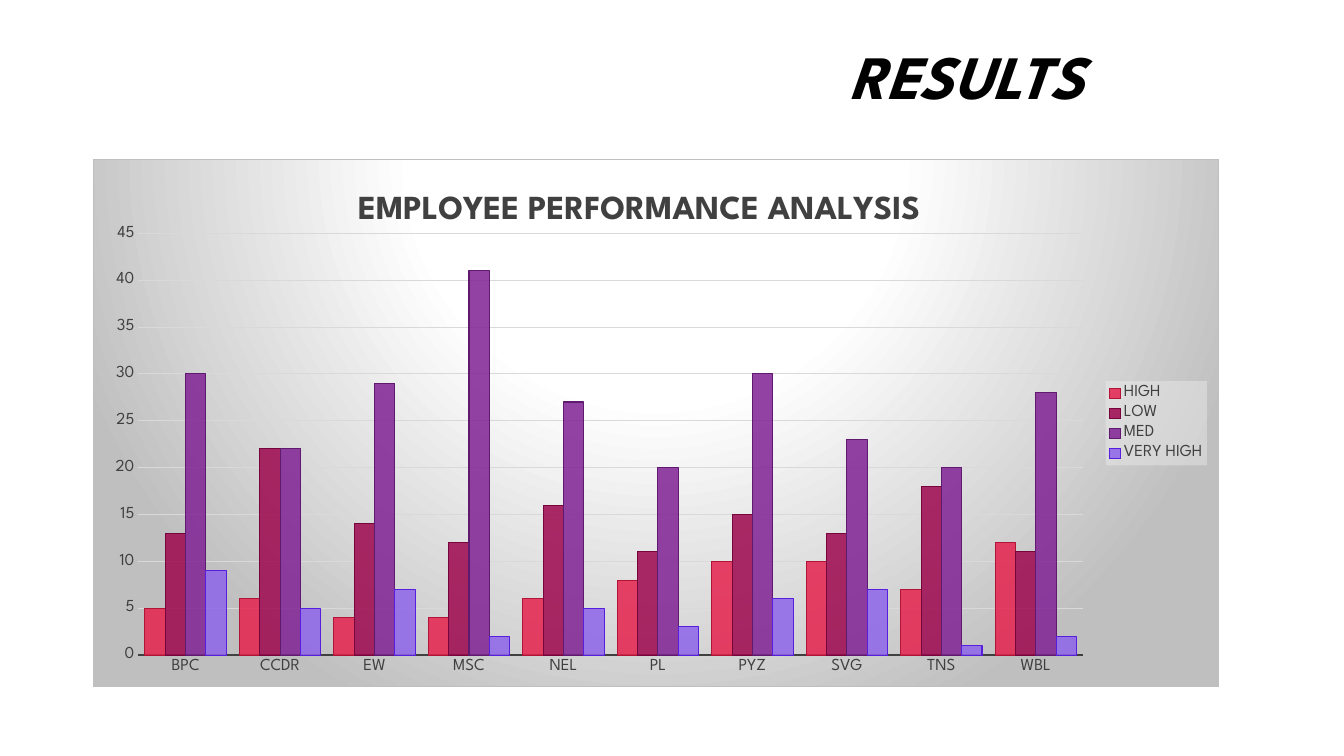
import pptx
import pptx.util
import pptx.chart.data
import pptx.dml.color
import pptx.enum.chart
import pptx.enum.text
import pptx.oxml
import pptx.oxml.ns

Cm, Pt = pptx.util.Cm, pptx.util.Pt
qn = pptx.oxml.ns.qn
FONT = "League Spartan"
GREY = "404040"
HEAD = "RESULTS"
NAME = "EMPLOYEE PERFORMANCE ANALYSIS"
UNITS = ["BPC", "CCDR", "EW", "MSC", "NEL", "PL", "PYZ", "SVG", "TNS", "WBL"]
LEVELS = [
    ("HIGH", [5, 6, 4, 4, 6, 8, 10, 10, 7, 12], "E5224E", "B01538"),
    ("LOW", [13, 22, 14, 12, 16, 11, 15, 13, 18, 11], "9D074E", "76053B"),
    ("MED", [30, 22, 29, 41, 27, 20, 30, 23, 20, 28], "7F2294", "5F196F"),
    ("VERY HIGH", [9, 5, 7, 2, 5, 3, 6, 7, 1, 2], "8D65EA", "581EDD"),
]
STOPS = [(0, "FFFFFF"), (39, "FFFFFF"), (100, "BFBFBF")]
SPACE = pptx.oxml.ns.nsdecls("c", "a")


def tint(color, code):
    color.rgb = pptx.dml.color.RGBColor.from_string(code)


def style(font, size, code, bold=False, italic=False):
    font.name, font.size, font.bold, font.italic = FONT, Pt(size), bold, italic
    tint(font.color, code)


def stroke(line, code, width):
    tint(line.color, code)
    line.width = Pt(width)


def place(part, after, inner=False, **spots):
    for old in part.findall(qn("c:layout")):
        part.remove(old)
    rows = '<c:layoutTarget val="inner"/>' if inner else ""
    rows += "".join(f'<c:{k}Mode val="edge"/>' for k in "xy")
    rows += "".join(f'<c:{k} val="{v}"/>' for k, v in spots.items())
    node = pptx.oxml.parse_xml(
        f"<c:layout {SPACE}><c:manualLayout>{rows}</c:manualLayout></c:layout>")
    if after:
        part.find(qn(after)).addnext(node)
    else:
        part.insert(0, node)


def paint(mark, body):
    mark.addnext(pptx.oxml.parse_xml(f"<c:spPr {SPACE}>{body}</c:spPr>"))


deck = pptx.Presentation()
deck.slide_width, deck.slide_height = Cm(33.87), Cm(19.05)
slide = deck.slides.add_slide(deck.slide_layouts[5])

title = slide.shapes.title
title.left, title.top, title.width, title.height = Cm(21.16), Cm(0.84), Cm(12.5), Cm(2.13)
frame = title.text_frame
frame.text = HEAD
frame.word_wrap = True
frame.vertical_anchor = pptx.enum.text.MSO_ANCHOR.TOP
frame.paragraphs[0].alignment = pptx.enum.text.PP_ALIGN.LEFT
style(frame.paragraphs[0].runs[0].font, 44, "000000", True, True)

data = pptx.chart.data.CategoryChartData()
data.categories = UNITS
for name, vals, fill, edge in LEVELS:
    data.add_series(name, vals)
chart = slide.shapes.add_chart(
    pptx.enum.chart.XL_CHART_TYPE.COLUMN_CLUSTERED,
    Cm(2.34), Cm(4.01), Cm(28.37), Cm(13.31), data).chart
style(chart.font, 10, "000000")

chart.has_title = True
label = chart.chart_title
label.text_frame.text = NAME
style(label.text_frame.paragraphs[0].runs[0].font, 24, GREY, True)
label.include_in_layout = False
place(label._element, "c:tx", x=0.23, y=0.05)

plot = chart.plots[0]
plot.gap_width, plot.overlap, plot.vary_by_categories = 65, 0, False
place(chart._chartSpace.chart.plotArea, None, True, x=0.04, y=0.14, w=0.84, h=0.8)
for bar, (name, vals, fill, edge) in zip(plot.series, LEVELS):
    bar.format.fill.solid()
    tint(bar.format.fill.fore_color, fill)
    shade = bar._element.find(".//" + qn("a:srgbClr"))
    shade.append(pptx.oxml.parse_xml(f'<a:alpha {SPACE} val="85000"/>'))
    stroke(bar.format.line, edge, 0.75)

for axis in (chart.category_axis, chart.value_axis):
    style(axis.tick_labels.font, 12, GREY)
    axis.major_tick_mark = axis.minor_tick_mark = pptx.enum.chart.XL_TICK_MARK.NONE
stroke(chart.category_axis.format.line, GREY, 1.5)
scale = chart.value_axis
scale.minimum_scale, scale.maximum_scale, scale.major_unit = 0, 45, 5
scale.format.line.fill.background()
stroke(scale.major_gridlines.format.line, "D9D9D9", 0.75)

chart.has_legend = True
key = chart.legend
key.position = pptx.enum.chart.XL_LEGEND_POSITION.RIGHT
key.include_in_layout = False
style(key.font, 12, GREY)
place(key._element, "c:legendPos", x=0.9, y=0.42, w=0.09, h=0.16)
paint(key._element.find(qn("c:overlay")),
      '<a:solidFill><a:srgbClr val="F2F2F2"><a:alpha val="39000"/></a:srgbClr></a:solidFill>')

stops = "".join(f'<a:gs pos="{pos * 1000}"><a:srgbClr val="{code}"/></a:gs>' for pos, code in STOPS)
paint(chart._chartSpace.chart,
      f'<a:gradFill><a:gsLst>{stops}</a:gsLst><a:path path="circle">'
      '<a:fillToRect l="50000" t="-80000" r="50000" b="180000"/></a:path></a:gradFill>'
      '<a:ln w="9525"><a:solidFill><a:srgbClr val="BFBFBF"/></a:solidFill></a:ln>')

deck.save("out.pptx")
